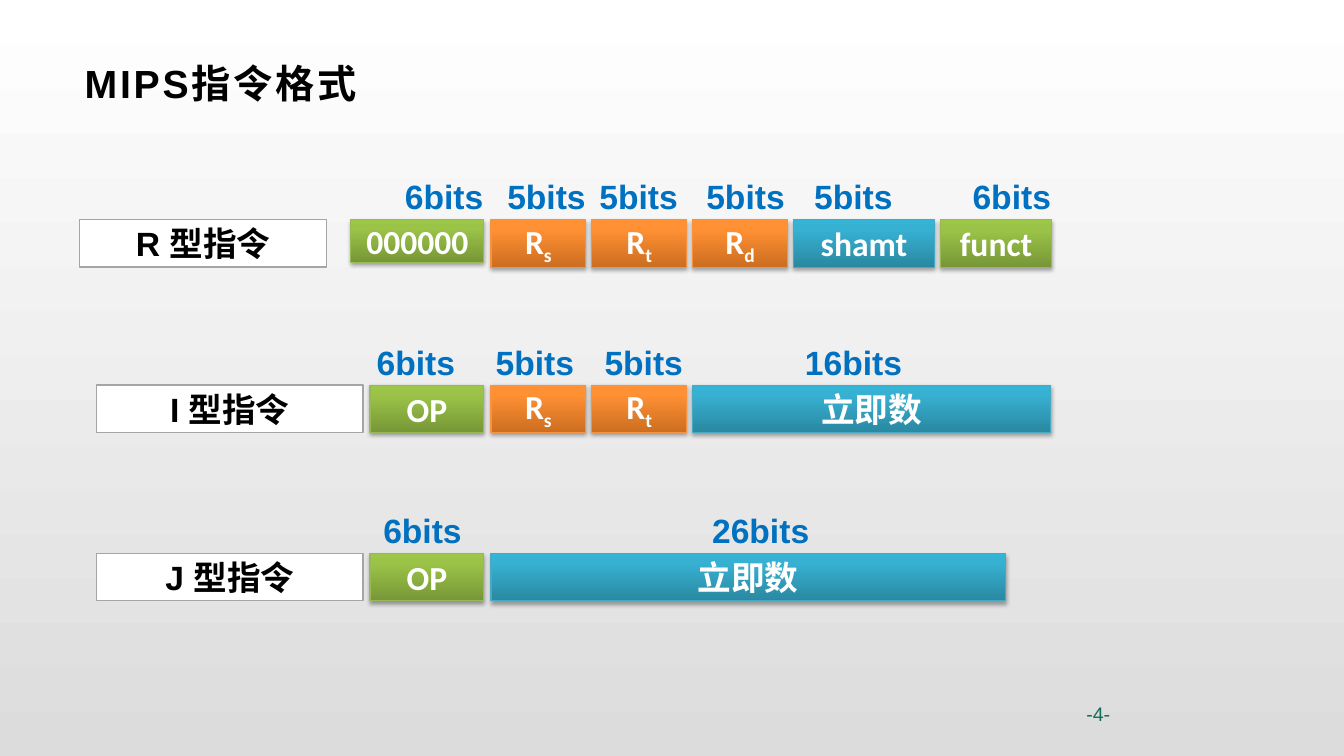
from copy import deepcopy

from lxml.etree import SubElement
from pptx import Presentation
from pptx.dml.color import RGBColor
from pptx.enum.shapes import MSO_SHAPE as Shape
from pptx.enum.text import MSO_ANCHOR as Anchor, PP_ALIGN as Align
from pptx.oxml.ns import qn
from pptx.util import Inches, Pt

COLORS = {
    "black": "000000", "white": "FFFFFF", "background_end": "DCDCDC",
    "bits": "0070C0", "label_line": "A5A5A5", "page": "0D7157",
}
# Gradient stops from bottom to top, then the outline
FIELD_COLORS = {
    "green": ("779737", "9BC348", "9DC746", "98B955"),
    "orange": ("CC6E20", "FF9034", "FF9136", "F69240"),
    "blue": ("2A88A2", "37B1D2", "34B4D6", "46AAC5"),
}
CJK_FONT = "Noto Sans CJK SC"
FIELD_HEIGHT = 0.47
BITS_RISE = 0.48

# Label with left and width, top, then fields:
# (text, subscript, colour, left, width, height)
# and bit counts: (text, left, width)
REGISTER_S = ("R", "s", "orange", 4.87, 0.94, FIELD_HEIGHT)
REGISTER_T = ("R", "t", "orange", 5.87, 0.94, FIELD_HEIGHT)
REGISTER_D = ("R", "d", "orange", 6.87, 0.94, FIELD_HEIGHT)
OPCODE = ("OP", "", "green", 3.67, 1.13, FIELD_HEIGHT)
FORMATS = [
    ("R 型指令", 0.79, 2.45, 2.18,
     [("000000", "", "green", 3.48, 1.32, 0.42),
      REGISTER_S, REGISTER_T, REGISTER_D,
      ("shamt", "", "blue", 7.87, 1.4, FIELD_HEIGHT),
      ("funct", "", "green", 9.33, 1.1, FIELD_HEIGHT)],
     [("6bits", 3.8, 1.21), ("5bits", 4.86, 1.12), ("5bits", 5.8, 1.07),
      ("5bits", 6.83, 1.13), ("5bits", 7.85, 1.23), ("6bits", 9.41, 1.25)]),
    ("I 型指令", 0.96, 2.64, 3.82,
     [OPCODE, REGISTER_S, REGISTER_T,
      ("立即数", "", "blue", 6.87, 3.55, FIELD_HEIGHT)],
     [("6bits", 3.48, 1.29), ("5bits", 4.78, 1.05), ("5bits", 5.8, 1.17),
      ("16bits", 7.85, 1.23)]),
    ("J 型指令", 0.96, 2.64, 5.49,
     [OPCODE, ("立即数", "", "blue", 4.87, 5.1, FIELD_HEIGHT)],
     [("6bits", 3.6, 1.18), ("26bits", 6.83, 1.43)]),
]


def rgb(value):
    return RGBColor.from_string(value)


def write_text(shape, text, subscript="", size=24, font="Arial", color="black",
               bold=True, align=Align.CENTER, anchor=Anchor.MIDDLE, spacing=0):
    frame = shape.text_frame
    frame.word_wrap = True
    frame.vertical_anchor = anchor
    paragraph = frame.paragraphs[0]
    paragraph.alignment = align
    for content, baseline in ((text, 0), (subscript, -25000)):
        if not content:
            continue
        run = paragraph.add_run()
        run.text = content
        run.font.size = Pt(size)
        run.font.name = font
        run.font.bold = bold
        run.font.color.rgb = rgb(COLORS[color])
        properties = run.font._element
        properties.find(qn("a:latin")).addnext(
            properties.makeelement(qn("a:ea"), {"typeface": CJK_FONT}))
        if baseline:
            properties.set("baseline", str(baseline))
        if spacing:
            properties.set("spc", str(spacing * 100))


def add_text(slide, text, left, top, width, height, **text_format):
    box = slide.shapes.add_textbox(
        Inches(left), Inches(top), Inches(width), Inches(height))
    write_text(box, text, **text_format)
    return box


def add_box(slide, left, top, width, height, line_color, line_width):
    box = slide.shapes.add_shape(
        Shape.RECTANGLE, Inches(left), Inches(top), Inches(width), Inches(height))
    box.shadow.inherit = False
    box.line.color.rgb = rgb(line_color)
    box.line.width = Pt(line_width)
    return box


def fill_field(shape, colors):
    """Fill with three gradient stops running upwards."""
    fill = shape.fill
    fill.gradient()
    stop_list = shape._element.spPr.find(".//" + qn("a:gsLst"))
    stop_list.append(deepcopy(stop_list[-1]))
    for stop, color, position in zip(fill.gradient_stops, colors, (0, 0.8, 1)):
        stop.color.rgb = rgb(color)
        stop.position = position
    fill.gradient_angle = 90


def add_shadow(shape):
    effects = shape._element.spPr.find(qn("a:effectLst"))
    shadow = SubElement(effects, qn("a:outerShdw"), {
        "blurRad": str(Pt(3.1)), "dist": str(Pt(1.8)),
        "dir": "5400000", "rotWithShape": "0"})
    color = SubElement(shadow, qn("a:srgbClr"), val=COLORS["black"])
    SubElement(color, qn("a:alpha"), val="35000")


def add_field(slide, top, text, subscript, color, left, width, height):
    *stops, outline = FIELD_COLORS[color]
    field = add_box(slide, left, top, width, height, outline, 0.75)
    fill_field(field, stops)
    add_shadow(field)
    font = "Calibri" if text.isascii() else CJK_FONT
    write_text(field, text, subscript, font=font, color="white")


def add_label(slide, text, left, top, width):
    label = add_box(slide, left, top, width, FIELD_HEIGHT, COLORS["label_line"], 1)
    label.fill.solid()
    label.fill.fore_color.rgb = rgb(COLORS["white"])
    write_text(label, text)


def set_background(slide):
    fill = slide.background.fill
    fill.gradient()
    for stop, color, position in zip(
            fill.gradient_stops, ("white", "background_end"), (0, 1)):
        stop.color.rgb = rgb(COLORS[color])
        stop.position = position
    fill.gradient_angle = 270


def main():
    presentation = Presentation()
    presentation.slide_width = Inches(13.33)
    presentation.slide_height = Inches(7.5)
    slide = presentation.slides.add_slide(presentation.slide_layouts[6])
    set_background(slide)
    title = add_text(slide, "MIPS指令格式", 0.73, 0.47, 11.87, 0.71,
                     size=28, align=Align.LEFT, spacing=2)
    title.text_frame.margin_left = Inches(0.11)
    for label, left, width, top, fields, bit_counts in FORMATS:
        add_label(slide, label, left, top, width)
        for field in fields:
            add_field(slide, top, *field)
        for bits, bits_left, bits_width in bit_counts:
            add_text(slide, bits, bits_left, top - BITS_RISE, bits_width, 0.5,
                     color="bits", anchor=Anchor.TOP)
    add_text(slide, "-4-", 10.0, 6.82, 1.11, 0.52, size=14, color="page",
             bold=False, align=Align.RIGHT)
    presentation.save("out.pptx")


if __name__ == "__main__":
    main()
